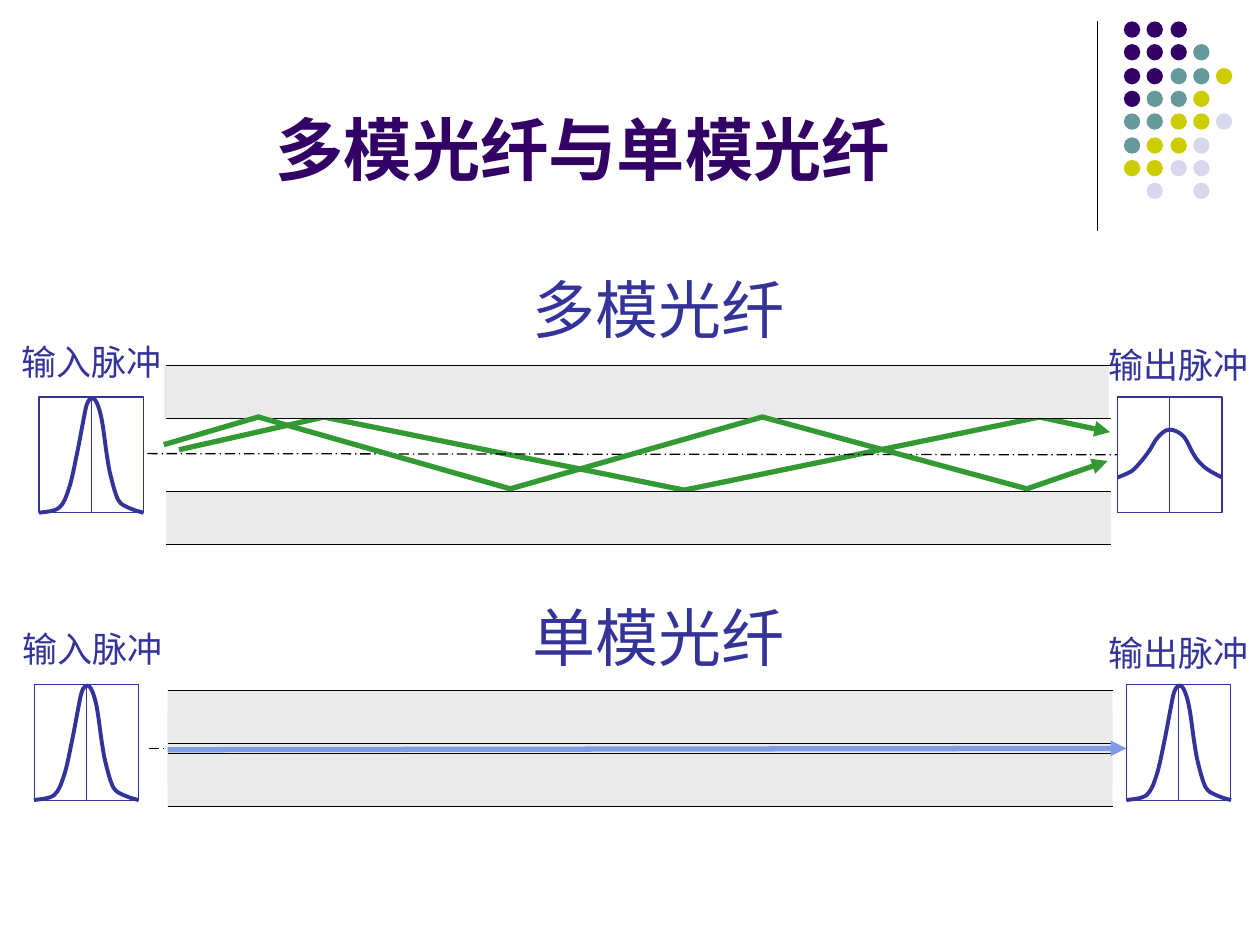
import dataclasses

import lxml.etree
import pptx
import pptx.dml.color
import pptx.enum.dml
import pptx.enum.shapes
import pptx.enum.text
import pptx.oxml
import pptx.oxml.ns
import pptx.util

PX = 9144  # EMU per px, 100 px to the inch
SHAPES = pptx.enum.shapes.MSO_SHAPE
TEXT = pptx.enum.text


@dataclasses.dataclass(frozen=True)
class Theme:
    purple: str = "330066"
    teal: str = "669999"
    lime: str = "CCCC00"
    lavender: str = "D8D8EC"
    blue: str = "333399"
    beam: str = "7E9CE8"
    green: str = "339933"
    glass: str = "EAEAEA"
    white: str = "FFFFFF"
    black: str = "000000"
    title_font: str = "Arial"
    heading_font: str = "Roboto"
    label_font: str = "Noto Sans CJK SC"
    title_size: int = 39
    heading_size: int = 36
    label_size: int = 20
    hairline: float = 0.5
    thin: float = 0.75
    curve: float = 2.25
    ray: float = 3


def rgb(color):
    return pptx.dml.color.RGBColor.from_string(color)


def bend(sp):
    """Turn the straight segments of a freeform into smooth Bézier segments."""
    qn = pptx.oxml.ns.qn
    nodes = list(sp._element.iter(qn("a:pt")))
    pts = [(int(n.get("x")), int(n.get("y"))) for n in nodes]
    padded = [pts[0], *pts, pts[-1]]
    segments = zip(nodes[1:], padded, padded[1:], padded[2:], padded[3:])
    for node, p0, p1, p2, p3 in segments:
        segment = node.getparent()
        segment.tag = qn("a:cubicBezTo")
        controls = ([b + (c - a) / 6 for a, b, c in zip(p0, p1, p2)],
                    [b - (c - a) / 6 for a, b, c in zip(p1, p2, p3)])
        for i, (x, y) in enumerate(controls):
            segment.insert(i, lxml.etree.Element(
                qn("a:pt"), x=str(round(x)), y=str(round(y))))


class Painter:
    def __init__(self, prs, theme):
        self.theme = theme
        self.s = prs.slides.add_slide(prs.slide_layouts[5])

    def style_line(self, sp, color, width, dash=None, arrow=False):
        sp.line.color.rgb = rgb(color)
        sp.line.width = pptx.util.Pt(width)
        if dash:
            sp.line.dash_style = dash
        if arrow:
            ln = sp.line._get_or_add_ln()
            ln.append(pptx.oxml.parse_xml(
                f'<a:tailEnd {pptx.oxml.ns.nsdecls("a")} type="triangle"/>'))

    def style_text(self, tf, text, font, size, color):
        p = tf.paragraphs[0]
        p.text = text
        p.font.name = font
        p.font.size = pptx.util.Pt(size)
        p.font.color.rgb = rgb(color)
        # East Asian typeface as well as the Latin one
        ea = pptx.oxml.parse_xml(
            f'<a:ea {pptx.oxml.ns.nsdecls("a")} typeface="{font}"/>')
        p.font._element.find(pptx.oxml.ns.qn("a:latin")).addnext(ea)
        return p

    def title(self, text, x, y, w, h):
        sp = self.s.shapes.title
        sp.left, sp.top, sp.width, sp.height = (v * PX for v in (x, y, w, h))
        tf = sp.text_frame
        tf.auto_size = TEXT.MSO_AUTO_SIZE.NONE
        tf.vertical_anchor = TEXT.MSO_ANCHOR.BOTTOM
        t = self.theme
        p = self.style_text(tf, text, t.title_font, t.title_size, t.purple)
        p.font.bold = True
        p.alignment = TEXT.PP_ALIGN.CENTER

    def text(self, text, x, y, w, h, font, size):
        tf = self.s.shapes.add_textbox(x * PX, y * PX, w * PX, h * PX).text_frame
        tf.word_wrap = False
        tf.auto_size = TEXT.MSO_AUTO_SIZE.SHAPE_TO_FIT_TEXT
        self.style_text(tf, text, font, size, self.theme.blue)

    def heading(self, text, x, y):
        self.text(text, x, y, 220, 70, self.theme.heading_font, self.theme.heading_size)

    def label(self, text, x, y):
        self.text(text, x, y, 131, 44, self.theme.label_font, self.theme.label_size)

    def shape(self, kind, x, y, w, h, fill, line=None, width=None):
        sp = self.s.shapes.add_shape(kind, x * PX, y * PX, w * PX, h * PX)
        sp.shadow.inherit = False
        sp.fill.solid()
        sp.fill.fore_color.rgb = rgb(fill)
        if line:
            self.style_line(sp, line, width)
        else:
            sp.line.fill.background()
        return sp

    def line(self, x1, y1, x2, y2, color, width, dash=None, arrow=False):
        cn = self.s.shapes.add_connector(
            pptx.enum.shapes.MSO_CONNECTOR.STRAIGHT,
            x1 * PX, y1 * PX, x2 * PX, y2 * PX)
        self.style_line(cn, color, width, dash, arrow)
        cn._element.spPr.append(pptx.oxml.parse_xml(
            f'<a:effectLst {pptx.oxml.ns.nsdecls("a")}/>'))
        return cn

    def open_path(self, points, color, width, arrow=False):
        points = [(x * PX, y * PX) for x, y in points]
        fb = self.s.shapes.build_freeform(*points[0])
        fb.add_line_segments(points[1:], close=False)
        sp = fb.convert_to_shape()
        sp.shadow.inherit = False
        sp.fill.background()
        self.style_line(sp, color, width, arrow=arrow)
        return sp

    def ray(self, *points):
        self.open_path(points, self.theme.green, self.theme.ray, arrow=True)

    def pulse(self, x, y, profile, frame_width):
        t = self.theme
        box = self.shape(SHAPES.RECTANGLE, x, y, 83, 92, t.white, t.blue, frame_width)
        axis = self.line(x + 41, y, x + 41, y + 92, t.blue, t.hairline)
        axis.begin_connect(box, 0)
        axis.end_connect(box, 2)
        bend(self.open_path([(x + dx, y + dy) for dx, dy in profile], t.blue, t.curve))

    def cladding(self, x, y):
        self.shape(SHAPES.RECTANGLE, x, y, 750, 42, self.theme.glass)

    def walls(self, x, *ys):
        for y in ys:
            self.line(x, y, x + 750, y, self.theme.black, self.theme.thin)

    def fibre_axis(self, x1, y1, x2, y2):
        self.line(x1, y1, x2, y2, self.theme.black, self.theme.thin,
                  dash=pptx.enum.dml.MSO_LINE.LONG_DASH_DOT)

    def dots(self, x, y, pitch, rows):
        colors = {"P": self.theme.purple, "T": self.theme.teal,
                  "L": self.theme.lime, "V": self.theme.lavender}
        for r, row in enumerate(rows):
            for c, key in enumerate(row):
                if key in colors:
                    self.shape(SHAPES.OVAL, x + round(c * pitch), y + round(r * pitch),
                               13, 13, colors[key])


# Pulse profiles, relative to the frame's corner
NARROW = [(0, 92), (16, 88), (24, 72), (30, 46), (35, 20), (38, 6), (42, 1), (46, 5),
          (50, 19), (54, 47), (57, 63), (63, 82), (71, 88), (76, 90), (83, 92)]
WIDE = [(0, 64), (11, 59), (18, 52), (25, 43), (32, 32), (41, 26), (52, 31),
        (60, 45), (65, 52), (72, 58), (83, 64)]


def main():
    prs = pptx.Presentation()
    prs.slide_width, prs.slide_height = 1000 * PX, 750 * PX
    theme = Theme()
    d = Painter(prs, theme)

    # Corner ornament and title
    d.line(871, 17, 871, 183, theme.black, theme.thin)
    d.dots(892, 17, 18.3, ["PPP", "PPPT", "PPTTL", "PTTL", "TTLLV", "TLLV", "LLVV", " V V"])
    d.title("多模光纤与单模光纤", 50, 13, 825, 142)

    # Single-mode fibre
    d.shape(SHAPES.RECTANGLE, 133, 565, 750, 58, theme.glass)
    for y in (548, 598):
        d.cladding(133, y)
    d.walls(133, 548, 590, 598, 640)
    d.fibre_axis(118, 594, 895, 594)
    for x in (27, 894):
        d.pulse(x, 543, NARROW, theme.hairline)
    d.label("输入脉冲", 8, 493)
    d.label("输出脉冲", 870, 496)
    d.heading("单模光纤", 413, 470)
    d.line(133, 595, 894, 594, theme.beam, theme.ray, arrow=True)

    # Multimode fibre
    d.ray((142, 357), (257, 331), (543, 389), (825, 331), (881, 343))
    d.cladding(130, 290)
    d.cladding(132, 390)
    d.walls(132, 290, 332, 390, 432)
    d.fibre_axis(117, 360, 894, 361)
    d.pulse(31, 315, NARROW, theme.thin)
    d.pulse(887, 315, WIDE, theme.thin)
    d.label("输入脉冲", 7, 265)
    d.label("输出脉冲", 870, 268)
    d.ray((130, 353), (205, 331), (405, 388), (605, 331), (815, 388), (879, 366))
    d.heading("多模光纤", 413, 210)

    prs.save("out.pptx")


if __name__ == "__main__":
    main()
